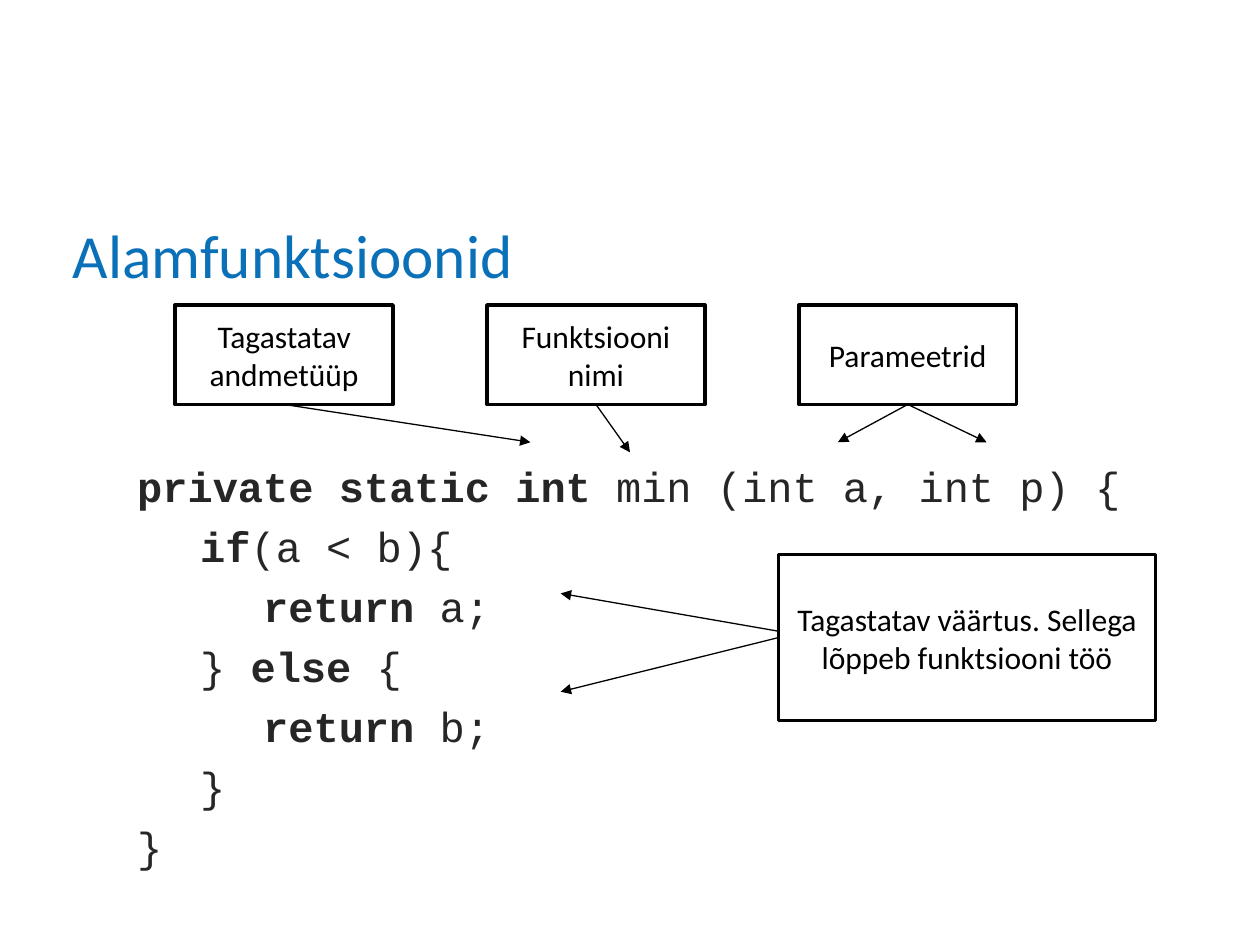
from pptx import Presentation
from pptx import util as u
from pptx.dml.color import RGBColor
from pptx.enum import shapes, text
from pptx.oxml.ns import qn
from lxml import etree

COLORS = {"title": "0A71B9", "code": "262626", "ink": "000000", "paper": "FFFFFF"}
TITLE = {"name": "Calibri", "size": u.Pt(35)}
LABEL = {"name": "Calibri", "size": u.Pt(18)}
CODE = {"name": "Courier New", "size": u.Pt(24)}


class Deck:
    def __init__(self, prs):
        self.slide = prs.slides.add_slide(prs.slide_layouts[6])

    def color(self, key):
        return RGBColor.from_string(COLORS[key])

    def run(self, p, words, font, key, **extra):
        r = p.add_run()
        r.text = words
        for name, value in {**font, **extra}.items():
            setattr(r.font, name, value)
        r.font.color.rgb = self.color(key)

    def textbox(self, box, **frame):
        tf = self.slide.shapes.add_textbox(*map(u.Inches, box)).text_frame
        for name, value in {"word_wrap": True, **frame}.items():
            setattr(tf, name, value)
        return tf

    def title(self, words, box):
        tf = self.textbox(box, vertical_anchor=text.MSO_ANCHOR.BOTTOM)
        self.run(tf.paragraphs[0], words, TITLE, "title")

    def code(self, lines, box, top):
        tf = self.textbox(box, margin_top=u.Inches(top))
        for i, (level, parts) in enumerate(lines):
            p = tf.add_paragraph() if i else tf.paragraphs[0]
            p.line_spacing = 0.8
            p.space_before = u.Pt(11.3 if i else 0)
            p._p.get_or_add_pPr().set("marL", str(u.Inches(0.5 * (level + 1))))
            for words, bold in parts:
                self.run(p, words, CODE, "code", bold=bold)

    def label(self, words, box):
        sp = self.slide.shapes.add_shape(shapes.MSO_SHAPE.RECTANGLE, *map(u.Inches, box))
        sp.shadow.inherit = False
        sp.fill.solid()
        sp.fill.fore_color.rgb = self.color("paper")
        sp.line.color.rgb = self.color("ink")
        sp.line.width = u.Pt(2)
        tf = sp.text_frame
        tf.word_wrap = True
        tf.vertical_anchor = text.MSO_ANCHOR.MIDDLE
        p = tf.paragraphs[0]
        p.alignment = text.PP_ALIGN.CENTER
        self.run(p, words, LABEL, "ink")

    def arrow(self, start, end):
        sp = self.slide.shapes.add_connector(
            shapes.MSO_CONNECTOR.STRAIGHT, *map(u.Inches, start + end))
        sp.line.color.rgb = self.color("ink")
        sp.line.width = u.Pt(0.75)
        etree.SubElement(sp.line._get_or_add_ln(), qn("a:tailEnd"), type="triangle")
        etree.SubElement(sp._element.spPr, qn("a:effectLst"))


prs = Presentation()
prs.slide_width, prs.slide_height = u.Inches(10), u.Inches(7.5)
s = Deck(prs)

s.title("Alamfunktsioonid", (0.48, 1.11, 9, 1.25))
s.code([
    (0, [("private static int ", True), ("min (int a, int p) {", False)]),
    (1, [("if", True), ("(a < b){", False)]),
    (2, [("return", True), (" a;", False)]),
    (1, [("} ", False), ("else", True), (" {", False)]),
    (2, [("return ", True), ("b;", False)]),
    (1, [("}", False)]),
    (0, [("}", False)]),
], (0.49, 2.61, 9.01, 4.37), 1.12)

left, top, width, height, step = 1.39, 2.42, 1.73, 0.79, 2.475
header_labels = [
    ("Tagastatav andmetüüp", [(4.21, 3.51)]),
    ("Funktsiooni nimi", [(5, 3.59)]),
    ("Parameetrid", [(6.65, 3.51), (7.83, 3.51)]),
]
for i, (words, targets) in enumerate(header_labels):
    x = left + i * step
    s.label(words, (x, top, width, height))
    for target in targets:
        s.arrow((x + width / 2, top + height), target)

s.label("Tagastatav väärtus. Sellega lõppeb funktsiooni töö", (6.18, 4.4, 2.99, 1.32))
for start_y, end_y in ((5.01, 4.71), (5.06, 5.49)):
    s.arrow((6.18, start_y), (4.45, end_y))

prs.save("out.pptx")
